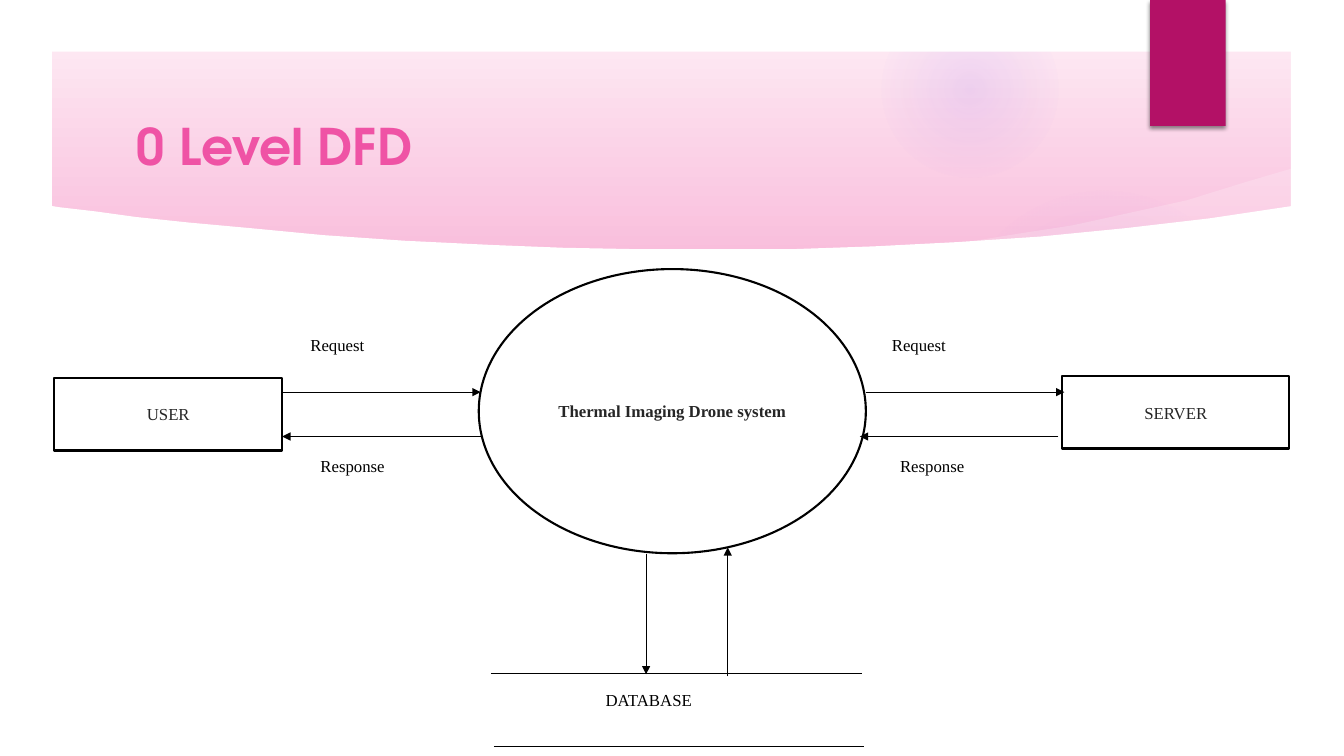
from lxml import etree
from pptx import Presentation
from pptx.dml.color import RGBColor
from pptx.enum import shapes, text
from pptx.oxml import ns, parse_xml
from pptx.util import Pt

WIDTH, HEIGHT = 960, 540
FRAME = [[(0, 0), (0, HEIGHT), (WIDTH, HEIGHT), (WIDTH, 0)],
         [(922.3, 502.6), (37.4, 502.6), (37.4, 37.4), (922.3, 37.4)]]
PANEL = [[(36, 147), (36, 504), (924.5, 504), (924.5, 147), (864, 156.2),
          (803.5, 163.4), (743, 168.9), (683.3, 173.2), (624.2, 176),
          (566, 177.5), (509.8, 178.3), (455, 178), (402.5, 177),
          (351.4, 175.3), (288.7, 171.5), (231.1, 167.8), (179.3, 163.4),
          (134.6, 159), (97.2, 154.8), (67.7, 151.2), (41.8, 147.6)]]
SHEEN = [[(672.5, 180), (745.9, 176.4), (843.8, 165.6), (928, 154),
          (923.8, 119.5), (889.9, 130.3), (848.2, 142.6), (807.1, 151.9),
          (766, 160.6), (727.2, 167), (690.5, 172.8), (669.6, 175)]]


def color(value):
    return RGBColor.from_string(value)


def sub(parent, tag, **attributes):
    child = etree.SubElement(parent, ns.qn(tag))
    for key, value in attributes.items():
        child.set(key, str(value))
    return child


def set_alpha(parent, percent):
    sub(parent, "a:alpha", val=percent * 1000)


def paint_gradient(owner, stops, radial=False):
    gradient = next(owner.iter(ns.qn("a:gradFill")))
    for child in list(gradient):
        gradient.remove(child)
    stop_list = sub(gradient, "a:gsLst")
    for position, value, opacity in stops:
        stop = sub(stop_list, "a:gs", pos=position * 1000)
        set_alpha(sub(stop, "a:srgbClr", val=value), opacity)
    if radial:
        center = sub(gradient, "a:path", path="circle")
        sub(center, "a:fillToRect", l=50000, t=50000, r=50000, b=50000)
    else:
        sub(gradient, "a:lin", ang=5400000, scaled=0)


def write(shape, words, size=12, font="Times New Roman", ink="000000",
          bold=False, align=text.PP_ALIGN.LEFT, anchor=text.MSO_ANCHOR.TOP):
    frame = shape.text_frame
    frame.word_wrap = True
    frame.vertical_anchor = anchor
    paragraph = frame.paragraphs[0]
    paragraph.alignment = align
    run = paragraph.add_run()
    run.text = words
    run.font.size = Pt(size)
    run.font.name = font
    run.font.bold = bold
    run.font.color.rgb = color(ink)


class Diagram:
    ink = "000000"
    paper = "FFFFFF"

    def __init__(self, slide):
        self.slide = slide

    def background(self, stops):
        self.slide.background.fill.gradient()
        paint_gradient(self.slide.element, stops)

    def shape(self, box, kind=shapes.MSO_SHAPE.RECTANGLE, fill=paper, outline=0):
        shape = self.slide.shapes.add_shape(kind, *map(Pt, box))
        shape.shadow.inherit = False
        shape.fill.solid()
        shape.fill.fore_color.rgb = color(fill)
        if outline:
            shape.line.color.rgb = color(self.ink)
            shape.line.width = Pt(outline)
        else:
            shape.line.fill.background()
        return shape

    def glow(self, left, top, diameter, stops):
        glow = self.shape((left, top, diameter, diameter), shapes.MSO_SHAPE.OVAL)
        glow.fill.gradient()
        paint_gradient(glow.element, stops, radial=True)

    def outline(self, contours, opacity=100):
        builder = self.slide.shapes.build_freeform(*contours[0][0], scale=Pt(1))
        builder.add_line_segments(contours[0][1:])
        for contour in contours[1:]:
            builder.move_to(*contour[0])
            builder.add_line_segments(contour[1:])
        shape = builder.convert_to_shape()
        shape.shadow.inherit = False
        shape.fill.solid()
        shape.fill.fore_color.rgb = color(self.paper)
        shape.line.fill.background()
        if opacity < 100:
            set_alpha(next(shape.element.iter(ns.qn("a:srgbClr"))), opacity)

    def ribbon(self, box, fill):
        ribbon = self.shape(box, fill=fill)
        effects = next(ribbon.element.iter(ns.qn("a:effectLst")))
        shadow = sub(effects, "a:outerShdw", blurRad=Pt(3), dist=Pt(2),
                     dir=5400000, rotWithShape=0)
        set_alpha(sub(shadow, "a:srgbClr", val=self.ink), 45)

    def title(self, box, words):
        title = self.slide.shapes.add_textbox(*map(Pt, box))
        write(title, words, size=36, font="TeX Gyre Adventor", ink="EF53A5",
              bold=True, anchor=text.MSO_ANCHOR.MIDDLE)

    def node(self, box, words, kind=shapes.MSO_SHAPE.RECTANGLE, bold=False):
        write(self.shape(box, kind, outline=1.5), words, ink="262626", bold=bold,
              align=text.PP_ALIGN.CENTER, anchor=text.MSO_ANCHOR.MIDDLE)

    def label(self, box, words):
        write(self.shape(box), words)

    def line(self, start, end, arrow=False):
        line = self.slide.shapes.add_connector(
            shapes.MSO_CONNECTOR.STRAIGHT, *map(Pt, (*start, *end)))
        line.line.color.rgb = color(self.ink)
        line.line.width = Pt(0.75)
        if arrow:
            sub(next(line.element.iter(ns.qn("a:ln"))), "a:tailEnd", type="triangle")
        sub(line.element.spPr, "a:effectLst")


def main():
    deck = Presentation()
    deck.slide_width, deck.slide_height = Pt(WIDTH), Pt(HEIGHT)
    dfd = Diagram(deck.slides.add_slide(deck.slide_layouts[6]))

    dfd.background([(0, "FEF1F7", 100), (74, "F37EBB", 100),
                    (83, "F37EBB", 100), (100, "F7A9D2", 100)])
    violet = "9B6BF2"
    dfd.glow(677.5, 131.8, 221.8, [(0, violet, 7), (36, violet, 6), (69, violet, 0)])
    dfd.glow(630, 0.7, 126, [(0, violet, 14), (36, violet, 7), (73, violet, 0)])
    dfd.outline(SHEEN, opacity=20)
    dfd.outline(PANEL)
    dfd.outline(FRAME)
    dfd.ribbon((821.5, 0, 54, 90), "B31166")
    dfd.title((90.7, 76.3, 689.8, 55.4), "0 Level DFD")

    dfd.node((342, 192.2, 276.5, 203), "Thermal Imaging Drone system",
             kind=shapes.MSO_SHAPE.OVAL, bold=True)
    dfd.node((38.9, 270, 162.7, 51.8), "USER")
    dfd.node((758.9, 268.6, 162, 51.8), "SERVER")

    request_y, response_y = 280.1, 311.8
    for start, end in [((201.6, request_y), (343.4, request_y)),
                       ((343.4, response_y), (201.6, response_y)),
                       ((756, response_y), (614.2, response_y)),
                       ((618.5, request_y), (760.3, request_y))]:
        dfd.line(start, end, arrow=True)
    for request_x, response_x in [(214.6, 221.8), (630, 635.8)]:
        dfd.label((request_x, 235.4, 96.5, 34.6), "Request")
        dfd.label((response_x, 321.8, 120.2, 34.6), "Response")

    dfd.line((350.6, 481), (615.6, 481))
    dfd.line((352.8, 533.5), (617, 533.5))
    dfd.label((425.5, 488.9, 140.4, 41), "DATABASE")
    dfd.line((461.5, 396), (461.5, 481.7), arrow=True)
    dfd.line((519.8, 483.1), (519.8, 391), arrow=True)

    deck.save("out.pptx")


if __name__ == "__main__":
    main()
